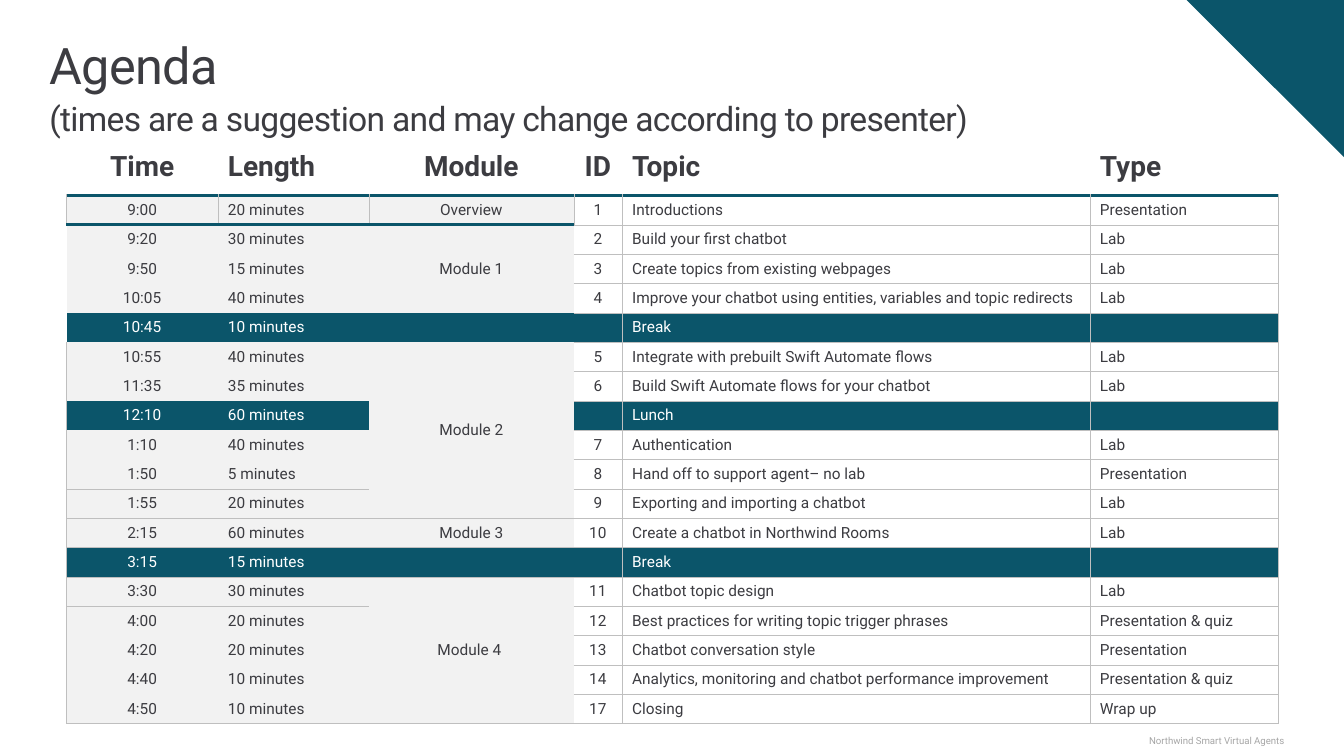
"""Build the Agenda slide with its timetable."""
import pptx
import pptx.dml.color
import pptx.enum.text
import pptx.util
from lxml import etree
from pptx.util import Inches

TITLE = ("Agenda", 36), ("(times are a suggestion and may change according to presenter)", 24)
FOOTER = "Northwind Smart Virtual Agents"
HEADER = ("Time", "Length", "Module", "ID", "Topic", "Type")
SESSIONS = [
    ("9:00", "20 minutes", "Overview", "1", "Introductions", "Presentation"),
    ("9:20", "30 minutes", "Module 1", "2", "Build your first chatbot", "Lab"),
    ("9:50", "15 minutes", "", "3", "Create topics from existing webpages", "Lab"),
    ("10:05", "40 minutes", "", "4", "Improve your chatbot using entities, variables and topic redirects", "Lab"),
    ("10:45", "10 minutes", "", "", "Break", ""),
    ("10:55", "40 minutes", "Module 2", "5", "Integrate with prebuilt Swift Automate flows", "Lab"),
    ("11:35", "35 minutes", "", "6", "Build Swift Automate flows for your chatbot", "Lab"),
    ("12:10", "60 minutes", "", "", "Lunch", ""),
    ("1:10", "40 minutes", "", "7", "Authentication", "Lab"),
    ("1:50", "5 minutes", "", "8", "Hand off to support agent– no lab", "Presentation"),
    ("1:55", "20 minutes", "", "9", "Exporting and importing a chatbot", "Lab"),
    ("2:15", "60 minutes", "Module 3", "10", "Create a chatbot in Northwind Rooms", "Lab"),
    ("3:15", "15 minutes", "", "", "Break", ""),
    ("3:30", "30 minutes", "Module 4 ", "11", "Chatbot topic design", "Lab"),
    ("4:00", "20 minutes", "", "12", "Best practices for writing topic trigger phrases", "Presentation & quiz"),
    ("4:20", "20 minutes", "", "13", "Chatbot conversation style", "Presentation"),
    ("4:40", "10 minutes", "", "14", "Analytics, monitoring and chatbot performance improvement", "Presentation & quiz"),
    ("4:50", "10 minutes", "", "17", "Closing", "Wrap up"),
]
MODULE_SPANS = {2: 3, 6: 6, 14: 5}
RULED_ROWS = {10, 11, 12, 13, 18}
COL_WIDTHS = (1.5, 1.5, 2.03, 0.48, 4.64, 1.87)
CENTRED_COLS = {0, 2, 3}
MODULE_COL = 2
LEFT, TOP, HEIGHT, HEADER_HEIGHT = 0.66, 1.37, 5.81, 0.57
SLIDE_W, SLIDE_H, CORNER = 13.33, 7.5, 1.56
FONT = "Roboto"
COLORS = {"teal": "0B556A", "ink": "3C3C41", "grey": "F2F2F2", "white": "FFFFFF",
          "rule": "BFBFBF", "footer": "A6A6A6"}
NO_GRID = "{2D5ABB26-0587-4C30-8999-92F81FD0307C}"
NS = "{http://schemas.openxmlformats.org/drawingml/2006/main}"
ALIGN = pptx.enum.text.PP_ALIGN
MIDDLE = pptx.enum.text.MSO_ANCHOR.MIDDLE


def rgb(name):
    return pptx.dml.color.RGBColor.from_string(COLORS[name])


def add_run(p, text, size, color, bold=False):
    r = p.add_run()
    r.text = text
    r.font.name, r.font.size, r.font.bold = FONT, pptx.util.Pt(size), bold
    r.font.color.rgb = rgb(color)
    return r


def add_textbox(s, left, top, width, height):
    tf = s.shapes.add_textbox(Inches(left), Inches(top), Inches(width), Inches(height)).text_frame
    tf.word_wrap = True
    tf.margin_left = tf.margin_right = tf.margin_top = tf.margin_bottom = 0
    return tf


def cell_edges(row, col, last):
    if row == 0:
        return {"B": ("teal", 2.25)}
    thin, outer = ("rule", 0.25), ("rule", 0.5)
    edges = {}
    if col > MODULE_COL:
        edges = {side: thin for side in "LRTB"}
        if col == MODULE_COL + 1 and row > 1:
            del edges["L"]
    else:
        if row == 1:
            edges.update(L=thin, R=thin)
        if col == 0 and (row == 1 or row >= 6):
            edges["L"] = outer
        if row - 1 in RULED_ROWS:
            edges["T"] = thin
        if last in RULED_ROWS:
            edges["B"] = thin
    if row == 1:
        edges["T"] = ("teal", 2.25)
    if last == len(SESSIONS):
        edges["B"] = outer
    return edges


def draw_edges(cell, edges):
    tcPr = cell._tc.get_or_add_tcPr()
    for side in "LRTB":
        if side in edges:
            color, width = edges[side]
            ln = etree.SubElement(tcPr, NS + "ln" + side, w=str(pptx.util.Pt(width)))
            fill = etree.SubElement(ln, NS + "solidFill")
            etree.SubElement(fill, NS + "srgbClr", val=COLORS[color])


def fill_cell(cell, row, col, text, is_break):
    last = row + (cell.span_height if cell.is_merge_origin else 1) - 1
    draw_edges(cell, cell_edges(row, col, last))
    if row == 0:
        cell.fill.background()
    else:
        cell.fill.solid()
        cell.fill.fore_color.rgb = rgb("teal" if is_break else "grey" if col <= MODULE_COL else "white")
    cell.vertical_anchor = MIDDLE
    cell.margin_right = cell.margin_top = cell.margin_bottom = 0
    cell.margin_left = 0 if col in CENTRED_COLS else Inches(0.1)
    p = cell.text_frame.paragraphs[0]
    p.alignment = ALIGN.CENTER if col in CENTRED_COLS else ALIGN.LEFT
    if text:
        add_run(p, text, 11 if row else 20, "white" if is_break else "ink", row == 0)
    else:
        etree.SubElement(p._p, NS + "endParaRPr", sz="1100")


def add_agenda(s):
    rows = [HEADER] + SESSIONS
    table = s.shapes.add_table(len(rows), len(HEADER), Inches(LEFT), Inches(TOP),
                               Inches(sum(COL_WIDTHS)), Inches(HEIGHT)).table
    table.first_row = table.horz_banding = False
    table._tbl.tblPr.find(NS + "tableStyleId").text = NO_GRID
    for column, width in zip(table.columns, COL_WIDTHS):
        column.width = Inches(width)
    row_height = (HEIGHT - HEADER_HEIGHT) / len(SESSIONS)
    for i, row in enumerate(table.rows):
        row.height = Inches(row_height if i else HEADER_HEIGHT)
    for first, count in MODULE_SPANS.items():
        table.cell(first, MODULE_COL).merge(table.cell(first + count - 1, MODULE_COL))
    for i, texts in enumerate(rows):
        for j, text in enumerate(texts):
            cell = table.cell(i, j)
            if cell.is_spanned:
                etree.SubElement(cell.text_frame.paragraphs[0]._p, NS + "endParaRPr", sz="1100")
            else:
                fill_cell(cell, i, j, text, not texts[3])


def add_title(s):
    p = add_textbox(s, 0.49, 0.5, 11.82, 0.84).paragraphs[0]
    p.line_spacing = pptx.util.Pt(31.4)
    for i, (text, size) in enumerate(TITLE):
        if i:
            p.add_line_break()
        r = add_run(p, text, size, "ink")
        r.font._element.set("spc", "-50")


def add_footer(s):
    tf = add_textbox(s, 0.17, 7.28, 12.57, 0.13)
    tf.vertical_anchor = MIDDLE
    p = tf.paragraphs[0]
    p.alignment = ALIGN.RIGHT
    add_run(p, FOOTER, 6.9, "footer")


def add_corner(s):
    builder = s.shapes.build_freeform(Inches(SLIDE_W - CORNER), 0)
    builder.add_line_segments([(Inches(SLIDE_W), 0), (Inches(SLIDE_W), Inches(CORNER))])
    sp = builder.convert_to_shape()
    sp.shadow.inherit = False
    sp.fill.solid()
    sp.fill.fore_color.rgb = rgb("teal")
    sp.line.fill.background()


def main():
    prs = pptx.Presentation()
    prs.slide_width, prs.slide_height = Inches(SLIDE_W), Inches(SLIDE_H)
    s = prs.slides.add_slide(prs.slide_layouts[6])
    add_footer(s)
    add_title(s)
    add_agenda(s)
    add_corner(s)
    prs.save("out.pptx")


if __name__ == "__main__":
    main()
